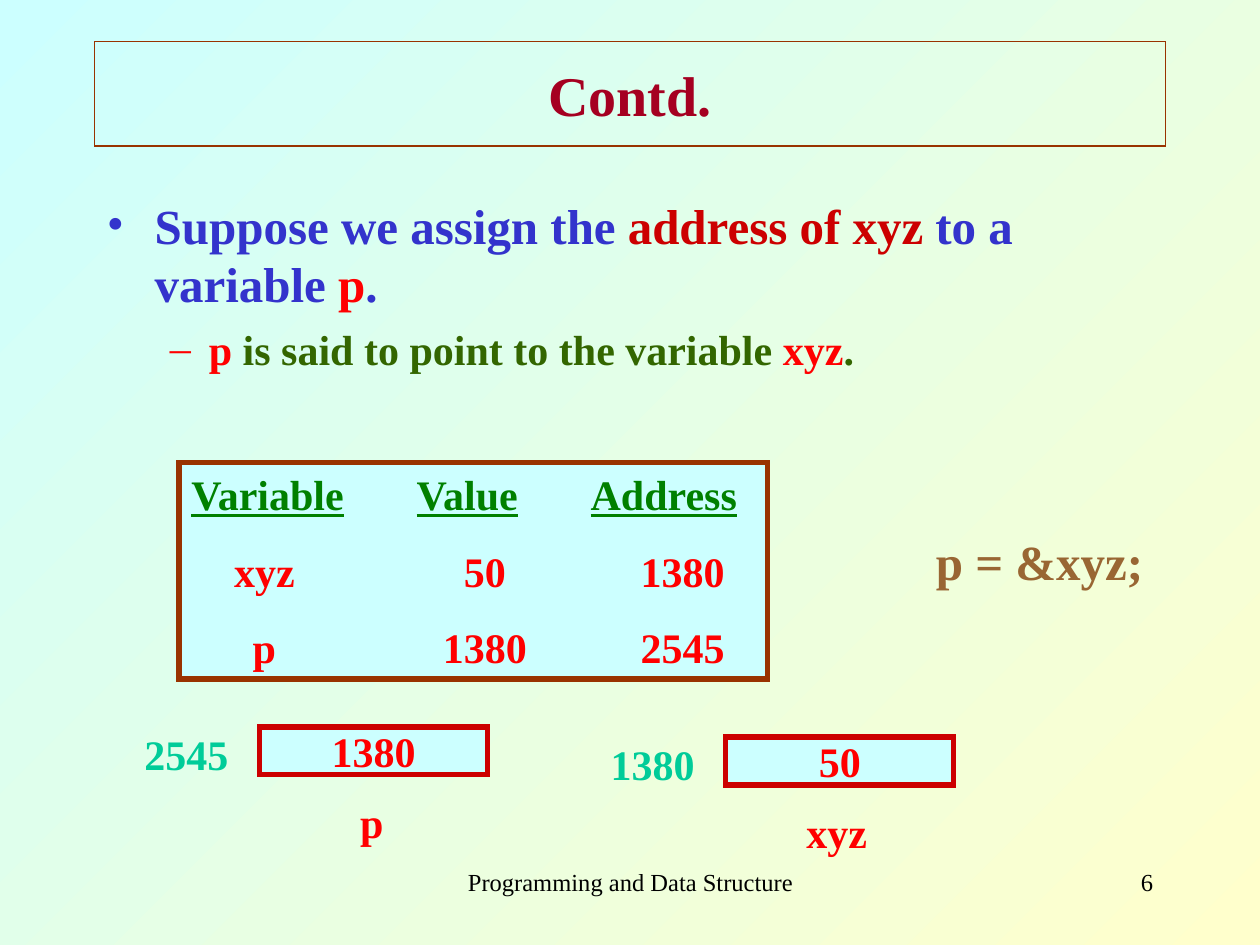
import pptx
import pptx.dml.color
import pptx.enum.shapes
import pptx.enum.text
import pptx.oxml
import pptx.util
from pptx.util import Inches

ALIGN = pptx.enum.text.PP_ALIGN
ANCHOR = pptx.enum.text.MSO_ANCHOR
FONT = "Times New Roman"
COLORS = {
    "sky": "CCFFFF", "cream": "FFFFCC", "black": "000000", "brown": "993300",
    "title": "A50021", "blue": "3333CC", "crimson": "CC0000", "red": "FF0000",
    "olive": "336600", "green": "008000", "tan": "996633", "teal": "00CC99",
}


def rgb(name):
    return pptx.dml.color.RGBColor.from_string(COLORS[name])


def add_elements(parent, *elements):
    """Append drawing elements, each written as a name and the rest of its XML."""
    for element in elements:
        name, rest = element.split(" ", 1)
        parent.append(pptx.oxml.parse_xml(
            f'<a:{name} xmlns:a="http://schemas.openxmlformats.org/drawingml/2006/main" {rest}'))


def add_run(paragraph, text, size, color, bold=True, underline=False):
    run = paragraph.add_run()
    run.text = text
    run.font.name = FONT
    run.font.size = pptx.util.Pt(size)
    run.font.bold = bold
    run.font.underline = underline
    run.font.color.rgb = rgb(color)


def add_text(shapes, box, text="", size=24, color="red", bold=True,
             align=ALIGN.CENTER, wrap=True):
    """Add a text box holding one paragraph; unwrapped boxes grow with it."""
    shape = shapes.add_textbox(*map(Inches, box))
    frame = shape.text_frame
    frame.word_wrap = wrap
    if not wrap:
        frame.auto_size = pptx.enum.text.MSO_AUTO_SIZE.SHAPE_TO_FIT_TEXT
    if text:
        frame.paragraphs[0].alignment = align
        add_run(frame.paragraphs[0], text, size, color, bold)
    return shape


def add_box(shapes, box, line, width, fill=None, text="", size=24, color="red"):
    """Add an outlined rectangle with optional centred text."""
    shape = shapes.add_shape(pptx.enum.shapes.MSO_SHAPE.RECTANGLE, *map(Inches, box))
    shape.shadow.inherit = False
    if fill:
        shape.fill.solid()
        shape.fill.fore_color.rgb = rgb(fill)
    else:
        shape.fill.background()
    shape.line.color.rgb = rgb(line)
    shape.line.width = pptx.util.Pt(width)
    add_elements(shape.line._get_or_add_ln(), 'miter lim="800000"/>')
    frame = shape.text_frame
    frame.vertical_anchor = ANCHOR.MIDDLE
    if text:
        frame.paragraphs[0].alignment = ALIGN.CENTER
        add_run(frame.paragraphs[0], text, size, color)
    return shape


def next_paragraph(frame, index, space_before):
    if index == 0:
        return frame.paragraphs[0]
    paragraph = frame.add_paragraph()
    paragraph.space_before = pptx.util.Pt(space_before)
    return paragraph


def add_bullets(slide):
    frame = add_text(slide.shapes, (0.75, 1.5, 8.5, 5.17)).text_frame
    items = [
        ("•", "blue", 0.38, 0.38, 28, [
            ("Suppose we assign the ", "blue"), ("address of xyz", "crimson"),
            (" to a variable ", "blue"), ("p", "red"), (".", "blue")]),
        ("–", "red", 0.81, 0.31, 24, [
            ("p", "red"), (" is said to point to the variable ", "olive"),
            ("xyz", "red"), (".", "olive")]),
    ]
    for level, (mark, mark_color, margin, hanging, size, runs) in enumerate(items):
        paragraph = next_paragraph(frame, level, 6)
        paragraph.level = level
        properties = paragraph._p.get_or_add_pPr()
        add_elements(
            properties,
            f'buClr ><a:srgbClr val="{COLORS[mark_color]}"/></a:buClr>',
            f'buFont typeface="{FONT}"/>',
            f'buChar char="{mark}"/>')
        properties.set("marL", str(Inches(margin)))
        properties.set("indent", str(-Inches(hanging)))
        for text, color in runs:
            add_run(paragraph, text, size, color)


def add_variable_list(slide):
    """Add the framed list, its columns centred on tab stops."""
    frame = add_box(slide.shapes, (1.42, 3.67, 4.67, 1.72), "brown", 3, "sky").text_frame
    frame.vertical_anchor = ANCHOR.TOP
    header_stops, value_stops = (0.6, 2.19, 3.75), (0.58, 2.33, 3.9)
    rows = [("Variable", "Value", "Address"), ("xyz", "50", "1380"), ("p", "1380", "2545")]
    for index, row in enumerate(rows):
        header = index == 0
        color = "green" if header else "red"
        paragraph = next_paragraph(frame, index, 15)
        paragraph.alignment = ALIGN.LEFT
        stops = "".join(f'<a:tab pos="{Inches(stop)}" algn="ctr"/>'
                        for stop in (header_stops if header else value_stops))
        add_elements(paragraph._p.get_or_add_pPr(), f"tabLst >{stops}</a:tabLst>")
        for text in row:
            add_run(paragraph, "\t", 24, color)
            add_run(paragraph, text, 24, color, underline=header)


def add_memory_cell(slide, left, top, address, value, name, name_left, name_width):
    """Add a grouped cell: address at left, value inside, name below."""
    shapes = slide.shapes.add_group_shape().shapes
    cell = add_box(shapes, (left, top, 1.81, 0.38), "crimson", 3, "sky", value)
    cell.text_frame.word_wrap = False
    add_text(shapes, (left - 1.03, top - 0.04, 0.9, 0.5), address, color="teal", wrap=False)
    add_text(shapes, (name_left, top + 0.5, name_width, 0.5), name, wrap=False)


def main():
    presentation = pptx.Presentation()
    presentation.slide_width, presentation.slide_height = Inches(10), Inches(7.5)
    slide = presentation.slides.add_slide(presentation.slide_layouts[6])

    # Background, from top left to bottom right
    fill = slide.background.fill
    fill.gradient()
    fill.gradient_angle = 315
    for stop, color, position in zip(fill.gradient_stops, ("sky", "cream"), (0, 1)):
        stop.color.rgb = rgb(color)
        stop.position = position

    # Footer and slide number
    add_text(slide.shapes, (3.42, 6.83, 3.17, 0.5), "Programming and Data Structure",
             14, "black", bold=False)
    add_text(slide.shapes, (7.17, 6.83, 2.08, 0.5), "6", 14, "black",
             bold=False, align=ALIGN.RIGHT)

    # Title and bullets
    add_box(slide.shapes, (0.75, 0.33, 8.5, 0.83), "brown", 0.75,
            text="Contd.", size=32, color="title")
    add_bullets(slide)

    # Variables and the assignment
    add_variable_list(slide)
    add_text(slide.shapes, (7.25, 4.17, 2, 0.57), "p = &xyz;", 28, "tan")

    # Memory cells
    add_memory_cell(slide, 5.76, 5.85, "1380", "50", "xyz", 6.3, 0.68)
    add_memory_cell(slide, 2.06, 5.77, "2545", "1380", "p", 2.76, 0.38)

    presentation.save("out.pptx")


if __name__ == "__main__":
    main()
